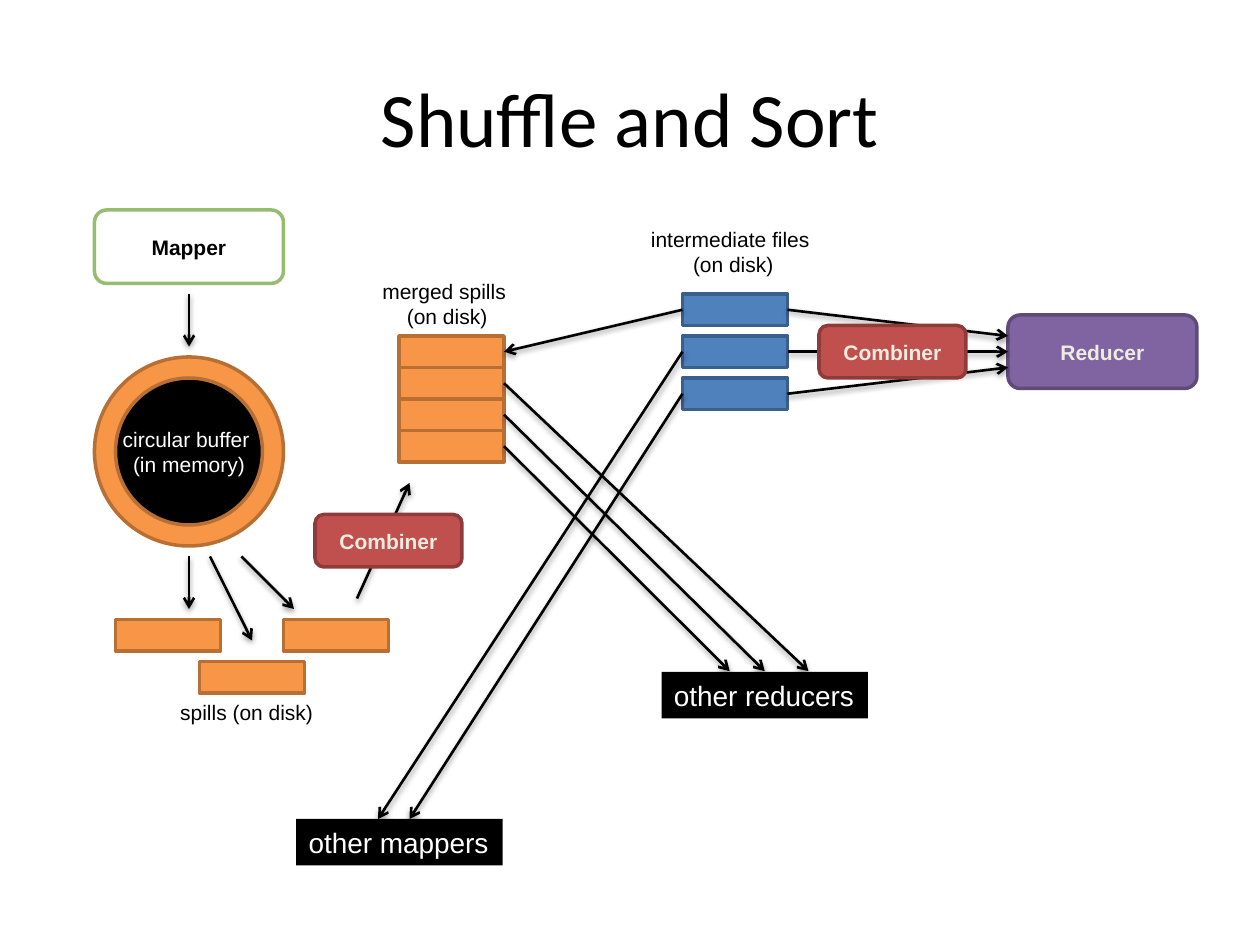
from typing import NamedTuple, Optional

from lxml import etree
from pptx import Presentation
from pptx import util as u
from pptx.dml.color import RGBColor
from pptx.enum import shapes, text
from pptx.oxml import ns

COLOURS = {
    "black": "000000", "white": "FFFFFF", "cream": "EEECE1",
    "green_edge": "95BC6F", "purple": "8064A2", "purple_edge": "5F4A78",
    "orange": "F79646", "orange_edge": "B76F34", "blue": "4F81BD",
    "blue_edge": "3A5F8C", "red": "C0504D", "red_edge": "8E3B39",
}
RECT = shapes.MSO_SHAPE.RECTANGLE
ROUNDED = shapes.MSO_SHAPE.ROUNDED_RECTANGLE
OVAL = shapes.MSO_SHAPE.OVAL
FILE_WIDTH, FILE_HEIGHT = 60, 18
MERGED_LEFT, MERGED_TOP = 228, 192
FILES_LEFT, FILES_TOP, FILES_STEP = 390, 168, 24
REDUCER_LEFT, REDUCER_MIDDLE = 576, 201


class Box(NamedTuple):
    left: float
    top: float
    width: float
    height: float
    fill: str
    edge: Optional[str] = None
    kind: int = RECT
    label: str = ""
    colour: str = "cream"


class Label(NamedTuple):
    left: float
    top: float
    width: float
    height: float
    label: str
    size: float = 12
    colour: str = "black"
    font: str = "Arial"
    wrap: bool = False
    anchor: text.MSO_ANCHOR = text.MSO_ANCHOR.TOP


class Arrow(NamedTuple):
    start_x: float
    start_y: float
    end_x: float
    end_y: float


def rgb(name: str) -> RGBColor:
    return RGBColor.from_string(COLOURS[name])


def write(shape, content: str, *, size: float = 12, font: str = "Arial",
          colour: str = "black", bold: bool = False, wrap: bool = True,
          align=text.PP_ALIGN.CENTER, anchor=text.MSO_ANCHOR.MIDDLE) -> None:
    frame = shape.text_frame
    frame.word_wrap = wrap
    if not wrap:
        frame.auto_size = text.MSO_AUTO_SIZE.SHAPE_TO_FIT_TEXT
    frame.vertical_anchor = anchor
    paragraph = frame.paragraphs[0]
    paragraph.text = content
    paragraph.alignment = align
    for run in paragraph.runs:
        run.font.size = u.Pt(size)
        run.font.name = font
        run.font.bold = bold
        run.font.color.rgb = rgb(colour)


def draw_box(slide, box: Box):
    shape = slide.shapes.add_shape(box.kind, *map(u.Pt, box[:4]))
    shape.shadow.inherit = False
    shape.fill.solid()
    shape.fill.fore_color.rgb = rgb(box.fill)
    if box.edge:
        shape.line.color.rgb = rgb(box.edge)
        shape.line.width = u.Pt(2)
    else:
        shape.line.fill.background()
    if box.label:
        write(shape, box.label, colour=box.colour, bold=True)
    return shape


def draw_label(slide, label: Label) -> None:
    shape = slide.shapes.add_textbox(*map(u.Pt, label[:4]))
    write(shape, label.label, size=label.size, colour=label.colour,
          font=label.font, wrap=label.wrap, anchor=label.anchor)


def draw_tag(slide, left: float, top: float, content: str) -> None:
    shape = draw_box(slide, Box(left, top, 118, 26.6, "black"))
    write(shape, content, size=16, colour="white", wrap=False,
          align=text.PP_ALIGN.LEFT, anchor=text.MSO_ANCHOR.TOP)


def draw_arrow(slide, arrow: Arrow) -> None:
    connector = slide.shapes.add_connector(
        shapes.MSO_CONNECTOR.STRAIGHT, *map(u.Pt, arrow))
    connector.line.color.rgb = rgb("black")
    connector.line.width = u.Pt(1.5)
    outline = connector.line._get_or_add_ln()
    etree.SubElement(outline, ns.qn("a:tailEnd"), type="arrow")


def file_box(left: float, top: float, colour: str) -> Box:
    return Box(left, top, FILE_WIDTH, FILE_HEIGHT, colour, f"{colour}_edge")


def combiner(left: float, top: float) -> Box:
    return Box(left, top, 84, 30, "red", "red_edge", ROUNDED, "Combiner")


def main() -> None:
    """Build the Shuffle and Sort slide."""
    presentation = Presentation()
    presentation.slide_width, presentation.slide_height = u.Pt(720), u.Pt(540)
    slide = presentation.slides.add_slide(presentation.slide_layouts[6])

    merged_tops = [MERGED_TOP + FILE_HEIGHT * row for row in range(4)]
    file_tops = [FILES_TOP + FILES_STEP * row for row in range(3)]
    merged_right = MERGED_LEFT + FILE_WIDTH
    merged_middles = [top + FILE_HEIGHT / 2 for top in merged_tops]
    file_middles = [top + FILE_HEIGHT / 2 for top in file_tops]

    boxes = [
        Box(54, 120, 108, 42, "white", "green_edge", ROUNDED, "Mapper", "black"),
        Box(REDUCER_LEFT, 180, 108, 42, "purple", "purple_edge", ROUNDED, "Reducer"),
        Box(54, 204, 108, 108, "orange", "orange_edge", OVAL),
        Box(66, 216, 84, 84, "black", "orange_edge", OVAL),
        *(file_box(left, top, "orange")
          for left, top in [(114, 378), (66, 354), (162, 354)]),
        *(file_box(MERGED_LEFT, top, "orange") for top in merged_tops),
        *(file_box(FILES_LEFT, top, "blue") for top in file_tops),
    ]
    arrows = [
        Arrow(108, 168, 108, 198),
        Arrow(108, 318, 108, 348),
        Arrow(120, 318, 144, 366),
        Arrow(138, 318, 168, 348),
        Arrow(204, 342, 234, 276),
        Arrow(FILES_LEFT, file_middles[0], merged_right, merged_middles[0]),
        *(Arrow(FILES_LEFT, middle, end_x, 468)
          for middle, end_x in zip(file_middles[1:], [216, 234])),
        *(Arrow(merged_right, middle, end_x, 383.5)
          for middle, end_x in zip(merged_middles[1:], [462, 437, 417])),
        *(Arrow(FILES_LEFT + FILE_WIDTH, middle, REDUCER_LEFT, REDUCER_MIDDLE + offset)
          for middle, offset in zip(file_middles, [-9, 0, 9])),
    ]
    labels = [
        Label(36, 21.6, 648, 90, "Shuffle and Sort", 44, font="Calibri",
              wrap=True, anchor=text.MSO_ANCHOR.MIDDLE),
        Label(60, 240, 96, 36.4, "circular buffer \n(in memory)",
              colour="white", wrap=True),
        Label(94, 396, 94, 21.6, "spills (on disk)"),
        Label(209.5, 155.5, 92, 36.4, "merged spills \n(on disk)"),
        Label(362, 126, 114, 36.4, "intermediate files \n(on disk)"),
    ]

    for box in boxes:
        draw_box(slide, box)
    for arrow in arrows:
        draw_arrow(slide, arrow)
    draw_tag(slide, 169.2, 468, "other mappers")
    draw_tag(slide, 378, 384, "other reducers")
    for label in labels:
        draw_label(slide, label)
    for left, top in [(180, 294), (468, 186)]:
        draw_box(slide, combiner(left, top))
    presentation.save("out.pptx")


if __name__ == "__main__":
    main()
